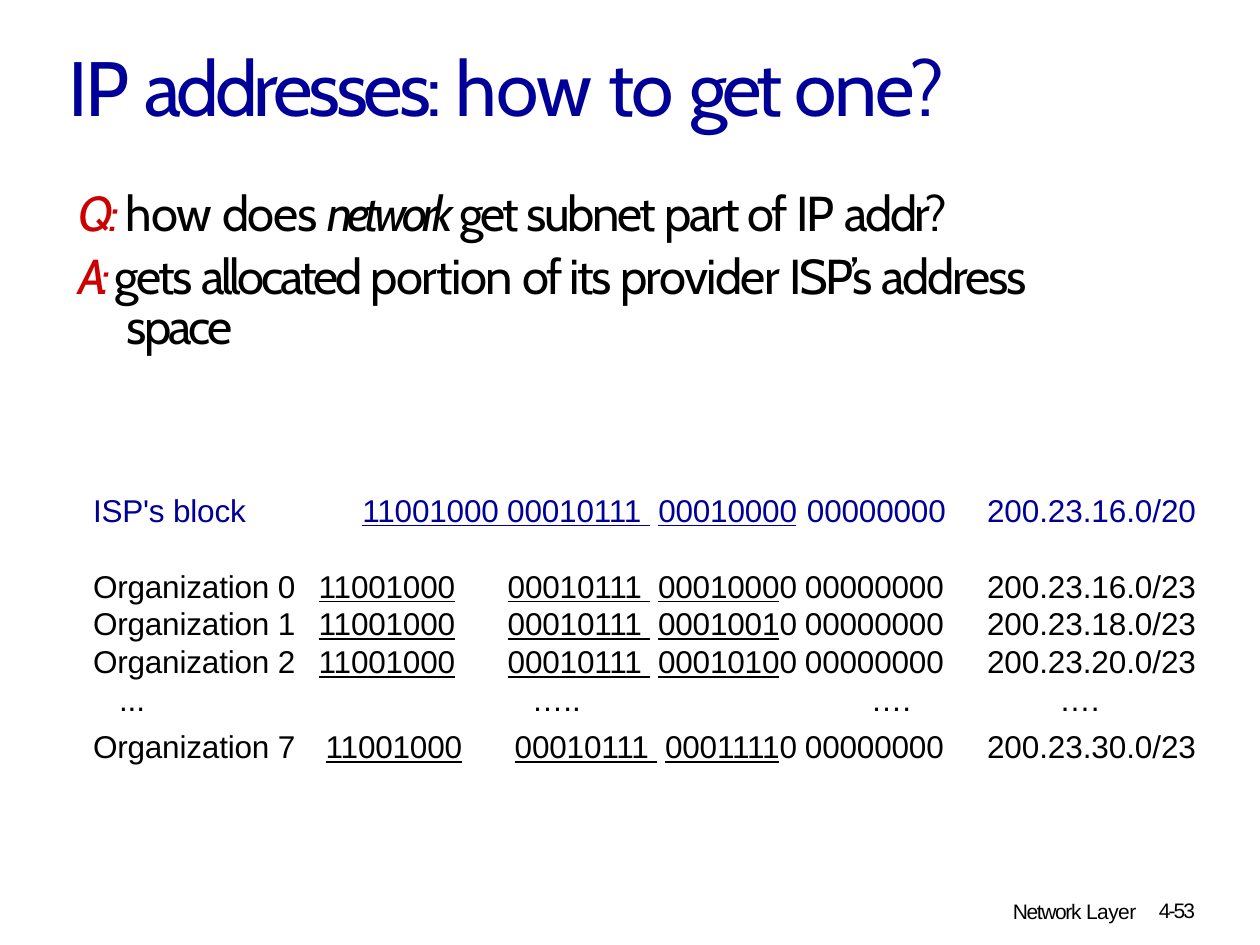
"""Build the slide on how a network gets its block of IP addresses."""
import pptx
import pptx.util
import pptx.dml.color
import pptx.enum.text
import lxml.etree

PX = 914400 / 126
HUES = {"navy": "000099", "red": "CC0000", "black": "000000"}
ALIGN = pptx.enum.text.PP_ALIGN
LEFT, MID, RIGHT = ALIGN.LEFT, ALIGN.CENTER, ALIGN.RIGHT

TITLE = [("IP ", -1.7), ("addresses: ", -2.4), ("how ", -0.9),
         ("to ", -1.1), ("get ", -3), ("one?", -1.4)]
ASK = [("Q: ", -2.6, "i", "red"), ("how ", -0.6), ("does ", -0.8),
       ("network ", -2.8, "i"), ("get ", -1.9), ("subnet ", -1.4),
       ("part ", -1.6), ("of ", -1.5), ("IP ", -1.1), ("addr?", -1.3)]
REPLY = [("A: ", -3.7, "i", "red"), ("gets ", -1.6), ("allocated ", -1.8),
         ("portion ", -0.8), ("of its ", -1.4), ("provider ", -0.9),
         ("ISP’s ", -1.5), ("address  ", -1.2), ("space", -1.8)]
FOOT = [("Network ", -0.8), ("Layer", -0.3)]
PAGE = [("4-53", -1.1)]

COLS = [227, 481, 166, 233]
ROWS = [
    {"name": "ISP's block", "net": "00010000", "host": "", "addr": "200.23.16.0/20",
     "high": 55, "line": 19.9, "hue": "navy"},
    {"name": "Organization 0", "net": "0001000", "host": "0", "addr": "200.23.16.0/23",
     "high": 57, "line": 21.6, "top": 18, "before": 9.8},
    {"name": "Organization 1", "net": "0001001", "host": "0", "addr": "200.23.18.0/23",
     "high": 38, "line": 20.6},
    {"name": "Organization 2", "net": "0001010", "host": "0", "addr": "200.23.20.0/23",
     "high": 38, "line": 20.6},
    {"dots": ["...", "…..", "….", "…."], "high": 43, "line": 20.6},
    {"name": "Organization 7", "net": "0001111", "host": "0", "addr": "200.23.30.0/23",
     "high": 41, "line": 20.8, "top": 4, "before": 2},
]


def px(num):
    return pptx.util.Emu(round(num * PX))


def write(para, runs, size, font, hue="black", align=LEFT, line=None,
          before=0, margin=0, indent=0, tab=None):
    para.alignment = align
    para.space_before = pptx.util.Pt(before)
    if line:
        para.line_spacing = pptx.util.Pt(line)
    props = para._p.get_or_add_pPr()
    props.set("marL", str(px(margin)))
    props.set("indent", str(px(indent)))
    if tab:
        space = "{http://schemas.openxmlformats.org/drawingml/2006/main}"
        tabs = lxml.etree.SubElement(props, space + "tabLst")
        lxml.etree.SubElement(tabs, space + "tab", pos=str(px(tab)), algn="l")
    for text, gap, *look in runs:
        run = para.add_run()
        run.text = text
        style = look[0] if look else ""
        tone = look[1] if len(look) > 1 else hue
        run.font.name, run.font.size = font, pptx.util.Pt(size)
        run.font.italic = "i" in style
        run.font.underline = "u" in style
        run.font.color.rgb = pptx.dml.color.RGBColor.from_string(HUES[tone])
        run._r.get_or_add_rPr().set("spc", str(round(gap * 100)))


def add_box(slide, left, top, wide, high, inset, wrap=False):
    frame = slide.shapes.add_textbox(px(left), px(top), px(wide), px(high)).text_frame
    frame.word_wrap = wrap
    frame.margin_left = frame.margin_right = frame.margin_bottom = 0
    frame.margin_top = px(inset)
    return frame


def row_cells(row):
    if "dots" in row:
        texts = [[(text, 0)] for text in row["dots"]]
        return zip(texts, (LEFT, MID, LEFT, MID), (30, 0, 74, 0))
    host = row["host"]
    first = "11001000\t00010111" if host else "11001000 00010111"
    bits = [(first, -0.1, "u"), (" ", 4.3 if host else 4.7, "u"), (row["net"], -0.1, "u")]
    if host:
        bits.append((host, -0.1))
    texts = [[(row["name"], -0.1)], bits, [("00000000", -0.1)], [(row["addr"], -0.05)]]
    return zip(texts, (LEFT, RIGHT, LEFT, RIGHT), (4, 0, 8 if host else 10, 0))


def add_blocks(slide):
    high = sum(row["high"] for row in ROWS)
    table = slide.shapes.add_table(len(ROWS), len(COLS), px(89), px(494),
                                   px(sum(COLS)), px(high)).table
    table.first_row = table.horz_banding = False
    for col, wide in zip(table.columns, COLS):
        col.width = px(wide)
    for line, row in zip(table.rows, ROWS):
        line.height = px(row["high"])
        for cell, (runs, align, margin) in zip(line.cells, row_cells(row)):
            cell.fill.background()
            cell.margin_left = cell.margin_right = cell.margin_bottom = 0
            cell.margin_top = px(row.get("top", 0))
            tab = 157 if row.get("host") and align == RIGHT and len(runs) > 1 else None
            write(cell.text_frame.paragraphs[0], runs, 18, "Arial",
                  row.get("hue", "black"), align, row["line"],
                  row.get("before", 0), margin, tab=tab)


def main():
    deck = pptx.Presentation()
    deck.slide_width, deck.slide_height = px(1260), px(945)
    slide = deck.slides.add_slide(deck.slide_layouts[6])
    title = add_box(slide, 68, 39, 934, 96, 1)
    write(title.paragraphs[0], TITLE, 44, "Cabin", "navy", before=1, margin=1)
    for left, top, wide, runs in ((1012, 895, 139, FOOT), (1158, 893, 49, PAGE)):
        foot = add_box(slide, left, top, wide, 32, 4)
        write(foot.paragraphs[0], runs, 12, "Arial", before=1.8, margin=1)
    body = add_box(slide, 78, 178, 1050, 178, 5, wrap=True)
    write(body.paragraphs[0], ASK, 28, "Cabin", before=2.9, margin=1)
    write(body.add_paragraph(), REPLY, 28, "Cabin", line=28.6, before=7,
          margin=49, indent=-48)
    add_blocks(slide)
    deck.save("out.pptx")


if __name__ == "__main__":
    main()
